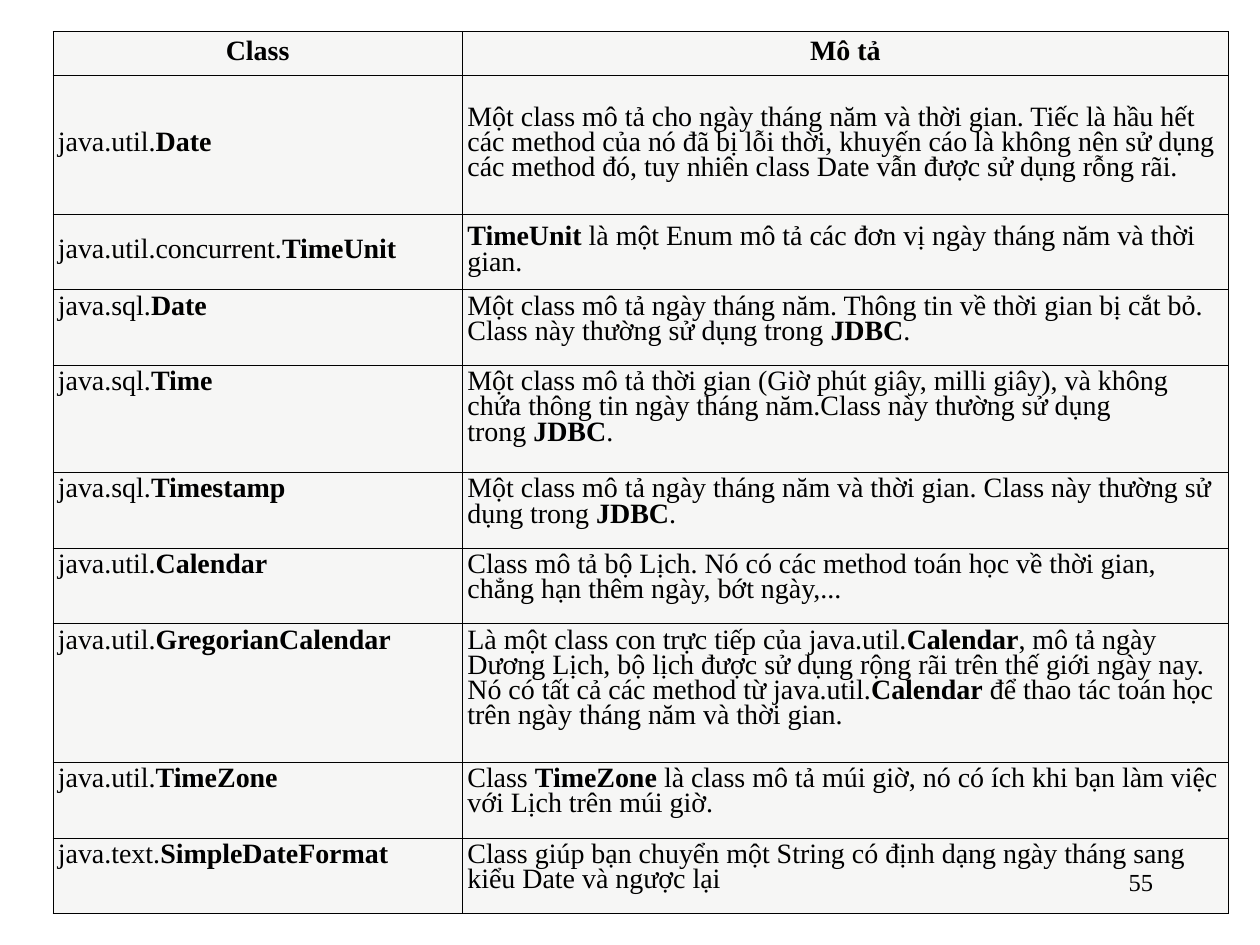
from lxml.etree import SubElement
from pptx import Presentation
from pptx.dml.color import RGBColor
from pptx.enum.text import MSO_ANCHOR as Anchor, PP_ALIGN as Align
from pptx.oxml.ns import qn
from pptx.util import Inches, Pt

FONT = "Times New Roman"
BLACK = RGBColor(0x00, 0x00, 0x00)
CELL_FILL = RGBColor(0xF6, 0xF6, 0xF5)
NO_BREAK_SPACE = chr(160)

COLUMN_WIDTHS = (3.25, 6.08)
MIDDLE_ROWS = 3  # the header and the first two classes are centred vertically

# Row height, class, description; ** switches bold, ~ is a no-break space
ROWS = (
    (0.35, "**Class**", "**Mô tả**"),
    (1.1, "java.util.**Date**",
     "Một class mô tả cho ngày tháng năm và thời gian. Tiếc là hầu hết các method "
     "của nó đã bị lỗi thời, khuyến cáo là không nên sử dụng các method đó, tuy "
     "nhiên class Date vẫn được sử dụng rỗng rãi."),
    (0.6, "java.util.concurrent.**TimeUnit**",
     "**TimeUnit~**là một Enum mô tả các đơn vị ngày tháng năm và thời gian."),
    (0.6, "java.sql.**Date**",
     "Một class mô tả ngày tháng năm. Thông tin về thời gian bị cắt bỏ. "
     "Class này thường sử dụng trong~**JDBC**."),
    (0.85, "java.sql.**Time**",
     "Một class mô tả thời gian (Giờ phút giây, milli giây), và không chứa thông "
     "tin ngày tháng năm.Class này thường sử dụng trong~**JDBC**."),
    (0.6, "java.sql.**Timestamp**",
     "Một class mô tả ngày tháng năm và thời gian. "
     "Class này thường sử dụng trong~**JDBC**."),
    (0.6, "java.util.**Calendar**",
     "Class mô tả bộ Lịch. Nó có các method toán học về thời gian, "
     "chẳng hạn thêm ngày, bớt ngày,..."),
    (1.1, "java.util.**GregorianCalendar**",
     "Là một class con trực tiếp của java.util.**Calendar**, mô tả ngày Dương Lịch, "
     "bộ lịch được sử dụng rộng rãi trên thế giới ngày nay. Nó có tất cả các method "
     "từ java.util.**Calendar~**để thao tác toán học trên ngày tháng năm và thời gian."),
    (0.6, "java.util.**TimeZone**",
     "Class~**TimeZone~**là class mô tả múi giờ, nó có ích khi bạn làm việc với "
     "Lịch trên múi giờ."),
    (0.6, "java.text.**SimpleDateFormat**",
     "Class giúp bạn chuyển một String có định dạng ngày tháng sang kiểu Date "
     "và ngược lại"),
)


def style_font(font, size, bold=False):
    font.name = FONT
    font.size = Pt(size)
    font.bold = bold
    font.color.rgb = BLACK


def write_marked_text(paragraph, text):
    for index, part in enumerate(text.replace("~", NO_BREAK_SPACE).split("**")):
        if part:
            run = paragraph.add_run()
            run.text = part
            style_font(run.font, 16, bold=index % 2 == 1)


def style_cell(cell):
    cell.margin_left = cell.margin_right = Inches(0.04)
    cell.margin_top = cell.margin_bottom = Inches(0.05)
    # Borders come before the fill in the cell properties
    properties = cell._tc.get_or_add_tcPr()
    for side in ("a:lnL", "a:lnR", "a:lnT", "a:lnB"):
        line = SubElement(properties, qn(side), w=str(Pt(0.45)))
        fill = SubElement(line, qn("a:solidFill"))
        SubElement(fill, qn("a:srgbClr"), val=str(BLACK))
    cell.fill.solid()
    cell.fill.fore_color.rgb = CELL_FILL


def add_class_table(slide, left, top):
    height = sum(row[0] for row in ROWS)
    table = slide.shapes.add_table(
        len(ROWS), len(COLUMN_WIDTHS), Inches(left), Inches(top),
        Inches(sum(COLUMN_WIDTHS)), Inches(height)).table
    table.horz_banding = False
    for column, width in zip(table.columns, COLUMN_WIDTHS):
        column.width = Inches(width)
    for row_index, (row_height, *texts) in enumerate(ROWS):
        table.rows[row_index].height = Inches(row_height)
        for column_index, text in enumerate(texts):
            cell = table.cell(row_index, column_index)
            style_cell(cell)
            cell.vertical_anchor = Anchor.MIDDLE if row_index < MIDDLE_ROWS else Anchor.TOP
            paragraph = cell.text_frame.paragraphs[0]
            paragraph.alignment = Align.CENTER if row_index == 0 else Align.LEFT
            paragraph.line_spacing = Pt(14.4)
            write_marked_text(paragraph, text)


def add_page_number(slide, left, top, width, height):
    box = slide.shapes.add_textbox(Inches(left), Inches(top), Inches(width), Inches(height))
    box.text_frame.word_wrap = True
    box.text_frame.text = "55"
    paragraph = box.text_frame.paragraphs[0]
    paragraph.alignment = Align.RIGHT
    style_font(paragraph.runs[0].font, 14)


def main():
    presentation = Presentation()
    presentation.slide_width = Inches(10)
    presentation.slide_height = Inches(7.5)
    slide = presentation.slides.add_slide(presentation.slide_layouts[6])
    add_class_table(slide, 0.42, 0.25)
    add_page_number(slide, 7.17, 6.83, 2.08, 0.5)
    presentation.save("out.pptx")


if __name__ == "__main__":
    main()
